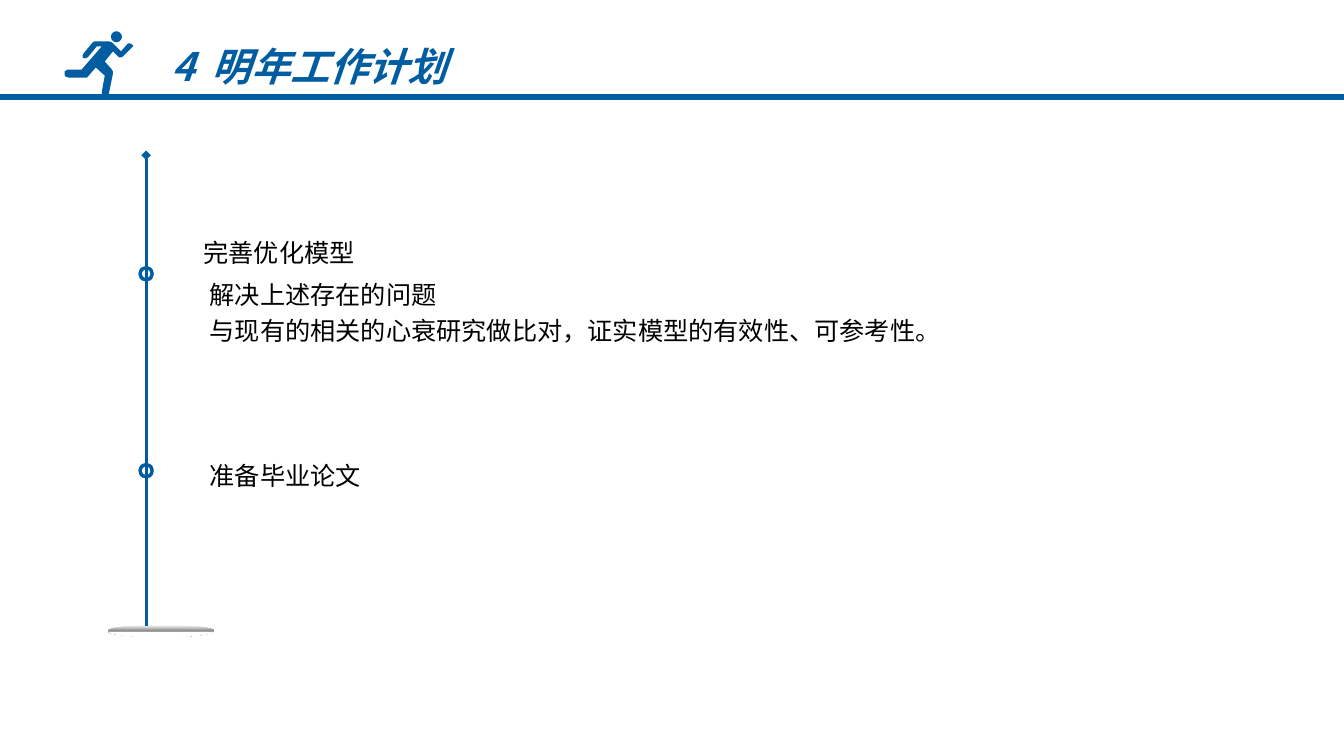
from lxml import etree
from pptx import Presentation
from pptx.dml.color import RGBColor
from pptx.enum.shapes import MSO_CONNECTOR, MSO_SHAPE
from pptx.enum.text import MSO_ANCHOR, PP_ALIGN
from pptx.oxml import parse_xml
from pptx.oxml.ns import qn
from pptx.util import Emu, Inches, Pt

STRAIGHT = MSO_CONNECTOR.STRAIGHT
DONUT, OVAL = MSO_SHAPE.DONUT, MSO_SHAPE.OVAL
MIDDLE = MSO_ANCHOR.MIDDLE
LEFT, CENTER = PP_ALIGN.LEFT, PP_ALIGN.CENTER
COLS = 80
BLUE, WHITE, GREY, BLACK = "005DA2", "FFFFFF", "808080", "000000"
CJK = "Noto Sans CJK SC"
A_NS = "http://schemas.openxmlformats.org/drawingml/2006/main"


def color(value):
    return RGBColor.from_string(value)


def add_text(tf, text, size=18, font="Arial", fill=BLACK, bold=False,
             italic=False, align=LEFT, spacing=1.0, before=0):
    p = tf.paragraphs[0] if not tf.text else tf.add_paragraph()
    p.alignment, p.line_spacing, p.space_before = align, spacing, Pt(before)
    r = p.add_run()
    r.text = text
    r.font.name, r.font.size = font, Pt(size)
    r.font.bold, r.font.italic = bold, italic
    r.font.color.rgb = color(fill)
    etree.SubElement(r.font._element, qn("a:ea"), typeface=CJK)


class Deck:
    def __init__(self):
        self.prs = Presentation()
        self.prs.slide_width, self.prs.slide_height = Inches(13.333), Inches(7.5)
        self.cell = self.prs.slide_width / COLS
        self.s = self.prs.slides.add_slide(self.prs.slide_layouts[6])

    def grid(self, *cells):
        return [Emu(round(c * self.cell)) for c in cells]

    def paint(self, sp, fill, line=None, width=0):
        sp.shadow.inherit = False
        sp.fill.solid()
        sp.fill.fore_color.rgb = color(fill)
        if line:
            sp.line.color.rgb = color(line)
            sp.line.width = Pt(width)
        else:
            sp.line.fill.background()
        return sp

    def shape(self, kind, x, y, w, h, fill=BLUE, **line):
        sp = self.s.shapes.add_shape(kind, *self.grid(x, y, w, h))
        return self.paint(sp, fill, **line)

    def gradient(self, sp, stops):
        sp.fill.gradient()
        sp.fill.gradient_angle = 270
        gs_list = sp._element.spPr.find(qn("a:gradFill")).find(qn("a:gsLst"))
        for gs in list(gs_list):
            gs_list.remove(gs)
        for share, value in stops:
            gs_list.append(parse_xml(
                f'<a:gs xmlns:a="{A_NS}" pos="{share * 1000}">'
                f'<a:srgbClr val="{value}"/></a:gs>'))

    def outline(self, x, y, unit, points, fill=BLUE):
        fb = self.s.shapes.build_freeform(*points[0], scale=unit * self.cell)
        fb.add_line_segments(points[1:], close=True)
        return self.paint(fb.convert_to_shape(*self.grid(x, y)), fill)

    def line(self, x1, y1, x2, y2, width, head=None):
        cn = self.s.shapes.add_connector(STRAIGHT, *self.grid(x1, y1, x2, y2))
        cn.line.color.rgb = color(BLUE)
        cn.line.width = Pt(width)
        if head:
            etree.SubElement(cn.line._get_or_add_ln(), qn("a:headEnd"), type=head)
        etree.SubElement(cn._element.spPr, qn("a:effectLst"))

    def textbox(self, x, y, w, h, wrap=True, inset=0.6):
        tf = self.s.shapes.add_textbox(*self.grid(x, y, w, h)).text_frame
        tf.word_wrap, tf.vertical_anchor = wrap, MIDDLE
        tf.margin_left, tf.margin_right = self.grid(inset, inset)
        tf.margin_top = tf.margin_bottom = 0
        return tf


RUNNER = [
    (30, 10), (44, 10), (47, 11), (56, 20), (63, 12), (65, 12), (68, 14),
    (68, 15), (67, 16), (58, 25), (56, 26.5), (54, 26), (48, 20), (40, 30),
    (47, 38), (48, 40), (48, 42), (44, 62), (43, 64), (40, 65), (38, 64),
    (37, 61), (37, 60), (40, 44), (31, 36), (24, 44), (22, 45.5), (19, 46),
    (4, 46), (1, 45), (0, 43), (0.5, 40), (3, 38), (17, 38), (37, 15),
    (32, 15), (23, 26), (20, 27), (18.5, 26), (18, 24), (19, 22), (28, 11),
]
AXIS_X, RING = 8.7, 1.2
RING_CENTERS = (16.3, 28.02)

deck = Deck()

base = deck.shape(OVAL, 6.42, 37.2, 6.36, 0.72)
deck.gradient(base, [(0, WHITE), (53, GREY), (57, WHITE)])

for center in RING_CENTERS:
    sp = deck.shape(DONUT, AXIS_X - RING / 2, center - RING / 2, RING, RING,
                    line=WHITE, width=3)
    sp.adjustments[0] = 0.4

deck.outline(3.84, 1.86, 0.06, RUNNER)
deck.shape(OVAL, 6.6, 1.86, 0.66, 0.66)
deck.line(0, 5.76, COLS, 5.76, 4)

title = deck.textbox(9.3, 2.22, 18.18, 3.42, wrap=False)
add_text(title, "4  明年工作计划", size=28, font=CJK, fill=BLUE, bold=True,
         italic=True, align=CENTER)

heading = deck.textbox(11.52, 13.5, 47.16, 3.06)
add_text(heading, "完善优化模型")

plan = deck.textbox(12, 16.14, 50.52, 13.2, inset=0.48)
for text, before in (
    ("解决上述存在的问题", 0),
    ("与现有的相关的心衰研究做比对，证实模型的有效性、可参考性。", 0),
    ("准备毕业论文", 78),
):
    add_text(plan, text, spacing=1.2, before=before)

deck.line(AXIS_X, 9.24, AXIS_X, 37.26, 2.25, head="diamond")

deck.prs.save("out.pptx")
